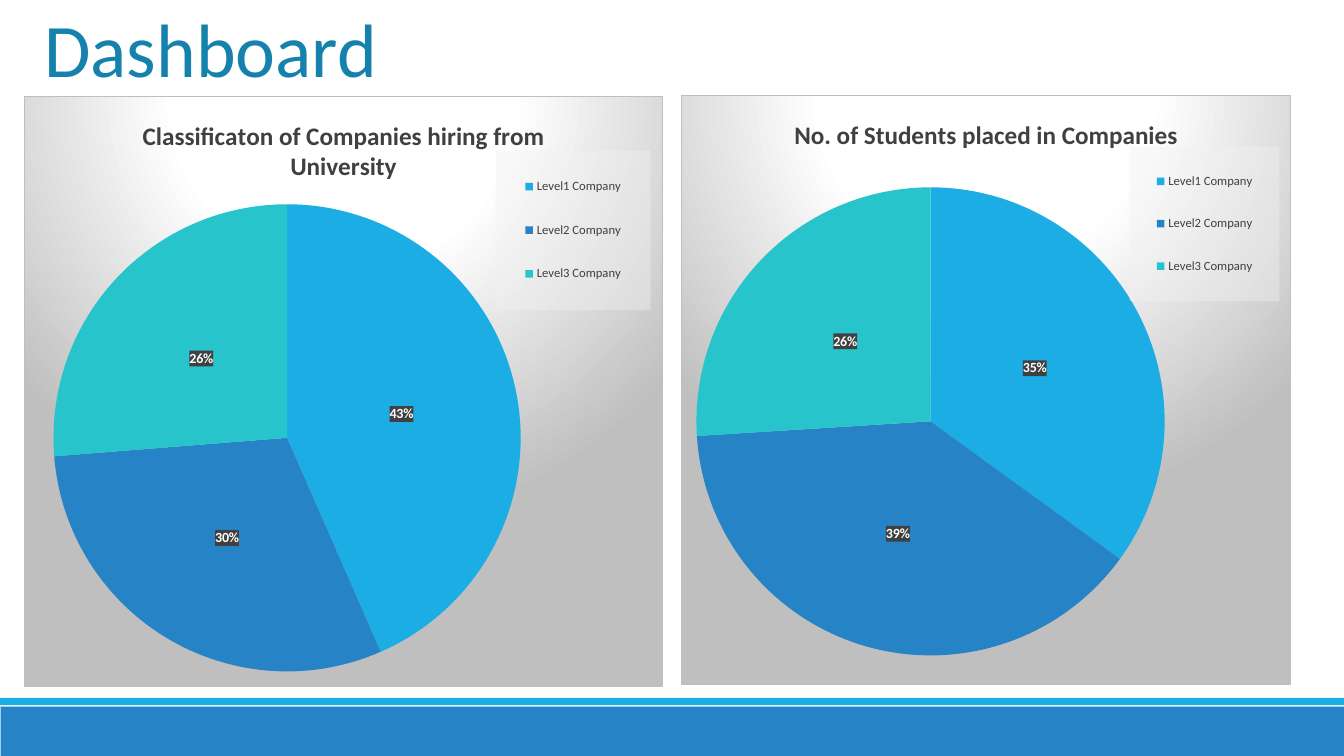
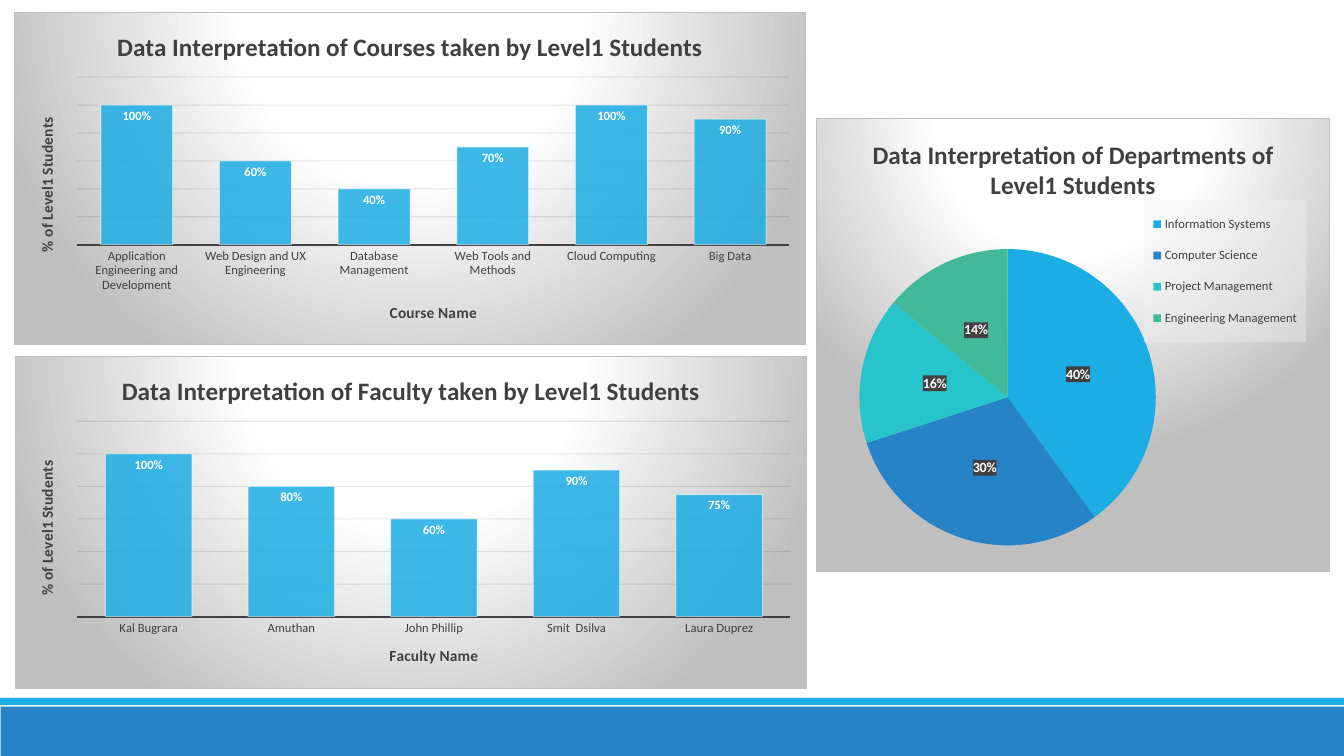
import pptx
import pptx.chart.data
import pptx.dml.color
import pptx.enum.chart
import pptx.enum.shapes
import pptx.enum.text
import pptx.oxml
import pptx.oxml.ns
import pptx.util

SCALE = 914400 / 100.8
FONT = "Calibri"
COLORS = {
    "white": "FFFFFF", "title": "1482AC", "text": "404040", "border": "BFBFBF",
    "grid": "0D0D0D", "label": "404040", "legend": "F2F2F2", "edge": "A8CDE8",
    "sky": "1CADE4", "blue": "2683C6", "teal": "28C4CC", "green": "42BA97",
}
SLICES = ["sky", "blue", "teal", "green"]
LEVELS = ["Level1 Company", "Level2 Company", "Level3 Company"]
NAMESPACES = pptx.oxml.ns.nsdecls("a", "c")


def px(length):
    return pptx.util.Emu(round(length * SCALE))


def rgb(name):
    return pptx.dml.color.RGBColor.from_string(COLORS[name])


def style_font(font, size, color, bold=False):
    font.name = FONT
    font.size = pptx.util.Pt(size)
    font.bold = bold
    font.color.rgb = rgb(color)


def solid(color, opacity=100):
    return (f'<a:solidFill><a:srgbClr val="{COLORS[color]}">'
            f'<a:alpha val="{opacity * 1000}"/></a:srgbClr></a:solidFill>')


def line(color, opacity=100):
    return f'<a:ln w="9525">{solid(color, opacity)}</a:ln>'


def backdrop():
    stops = "".join(f'<a:gs pos="{position * 1000}"><a:srgbClr val="{COLORS[name]}"/></a:gs>'
                    for position, name in [(0, "white"), (39, "white"), (100, "border")])
    return (f'<a:gradFill><a:gsLst>{stops}</a:gsLst><a:path path="circle">'
            '<a:fillToRect l="50000" t="-80000" r="50000" b="180000"/>'
            '</a:path></a:gradFill>')


def properties(content):
    return pptx.oxml.parse_xml(f"<c:spPr {NAMESPACES}>{content}</c:spPr>")


def find(element, tag):
    return element.find(".//" + pptx.oxml.ns.qn(tag))


def place(element, index, box, part, inner=False):
    old = element.find(pptx.oxml.ns.qn("c:layout"))
    if old is not None:
        element.remove(old)
    left, top, width, height = box
    target = '<c:layoutTarget val="inner"/>' if inner else ""
    fractions = [(part[0] - left) / width, (part[1] - top) / height]
    fractions += [size / whole for size, whole in zip(part[2:], box[2:])]
    modes = '<c:xMode val="edge"/><c:yMode val="edge"/>'
    values = "".join(f'<c:{key} val="{value:.4f}"/>' for key, value in zip("xywh", fractions))
    element.insert(index, pptx.oxml.parse_xml(
        f"<c:layout {NAMESPACES}><c:manualLayout>{target}{modes}{values}"
        "</c:manualLayout></c:layout>"))


def write_title(title, text, size):
    span = title.text_frame.paragraphs[0].add_run()
    span.text = text
    style_font(span.font, size, "text", True)


def add_chart(page, kind, box, plot_box, title, categories, values):
    data = pptx.chart.data.CategoryChartData()
    data.categories = categories
    data.add_series(title, values)
    chart = page.shapes.add_chart(kind, *map(px, box), data).chart
    chart.font.name = FONT
    chart.font.size = pptx.util.Pt(10)
    chart.has_title = True
    write_title(chart.chart_title, title, 18)
    space = chart.element
    space.find(pptx.oxml.ns.qn("c:chart")).addnext(properties(backdrop() + line("border")))
    place(find(space, "c:plotArea"), 0, box, plot_box, True)
    return chart


def add_labels(plot, size, position):
    plot.has_data_labels = True
    labels = plot.data_labels
    style_font(labels.font, size, "white", True)
    labels.number_format = "0%"
    labels.number_format_is_linked = False
    labels.position = position
    return labels


def pie_chart(page, box, plot_box, legend_box, title, categories, values):
    chart = add_chart(page, pptx.enum.chart.XL_CHART_TYPE.PIE,
                      box, plot_box, title, categories, values)
    plot = chart.plots[0]
    plot.vary_by_categories = True
    for index, name in enumerate(SLICES[:len(values)]):
        fill = plot.series[0].points[index].format.fill
        fill.solid()
        fill.fore_color.rgb = rgb(name)
    labels = add_labels(plot, 10, pptx.enum.chart.XL_LABEL_POSITION.CENTER)
    labels.show_percentage = True
    labels.show_value = False
    find(find(chart.element, "c:dLbls"), "c:txPr").addprevious(properties(solid("label", 90)))
    chart.has_legend = True
    legend = chart.legend
    legend.position = pptx.enum.chart.XL_LEGEND_POSITION.RIGHT
    legend.include_in_layout = False
    style_font(legend.font, 9, "text")
    element = find(chart.element, "c:legend")
    place(element, 1, box, legend_box)
    find(element, "c:txPr").addprevious(properties(solid("legend", 39)))


def column_chart(page, box, plot_box, title, axis_title, categories, values):
    chart = add_chart(page, pptx.enum.chart.XL_CHART_TYPE.COLUMN_CLUSTERED,
                      box, plot_box, title, categories, values)
    chart.has_legend = False
    plot = chart.plots[0]
    plot.gap_width = 65
    plot.vary_by_categories = False
    find(find(chart.element, "c:ser"), "c:tx").addnext(
        properties(solid("sky", 85) + line("white", 50)))
    labels = add_labels(plot, 9, pptx.enum.chart.XL_LABEL_POSITION.INSIDE_END)
    labels.show_value = True
    bottom, side = chart.category_axis, chart.value_axis
    bottom.major_tick_mark = pptx.enum.chart.XL_TICK_MARK.NONE
    style_font(bottom.tick_labels.font, 9, "text")
    bottom.format.line.color.rgb = rgb("text")
    bottom.format.line.width = pptx.util.Pt(1.5)
    write_title(bottom.axis_title, axis_title, 11)
    side.minimum_scale, side.maximum_scale, side.major_unit = 0, 1.2, 0.2
    side.has_major_gridlines = True
    find(chart.element, "c:majorGridlines").append(properties(line("grid", 10)))
    write_title(side.axis_title, "% of Level1 Students", 11)
    side.visible = False


def master_bands(deck, page):
    tree = deck.slide_master.element.cSld.spTree
    for top, height, color, edge in [(706, 50, "blue", "edge"), (698, 7, "sky", None)]:
        band = page.shapes.add_shape(pptx.enum.shapes.MSO_SHAPE.RECTANGLE,
                                     *map(px, (0, top, 1344, height)))
        band.shadow.inherit = False
        band.fill.solid()
        band.fill.fore_color.rgb = rgb(color)
        if edge:
            band.line.color.rgb = rgb(edge)
            band.line.width = pptx.util.Pt(0.5)
        else:
            band.line.fill.background()
        tree.append(band.element)


def page_title(page, box, text):
    title = page.shapes.title
    title.left, title.top, title.width, title.height = map(px, box)
    frame = title.text_frame
    frame.word_wrap = True
    frame.vertical_anchor = pptx.enum.text.MSO_ANCHOR.TOP
    para = frame.paragraphs[0]
    para.alignment = pptx.enum.text.PP_ALIGN.LEFT
    span = para.add_run()
    span.text = text
    style_font(span.font, 54, "title")


def dashboard_page(page):
    pie_chart(page, (24, 96, 639, 591), (53, 204, 468, 468), (496, 150, 155, 160),
              "Classificaton of Companies hiring from University", LEVELS, [43, 30, 26])
    pie_chart(page, (681, 95, 610, 590), (696, 187, 469, 469), (1130, 146, 150, 155),
              "No. of Students placed in Companies", LEVELS, [35, 39, 26])
    page_title(page, (34, -3, 540, 102), "Dashboard")


def interpretation_page(page):
    column_chart(page, (14, 12, 792, 333), (77, 77, 713, 168),
                 "Data Interpretation of Courses taken by Level1 Students", "Course Name",
                 ["Application Engineering and Development", "Web Design and UX Engineering",
                  "Database Management", "Web Tools and Methods", "Cloud Computing", "Big Data"],
                 [1, 0.6, 0.4, 0.7, 1, 0.9])
    pie_chart(page, (816, 118, 514, 454), (859, 249, 297, 297), (1144, 200, 163, 142),
              "Data Interpretation of Departments of Level1 Students",
              ["Information Systems", "Computer Science", "Project Management",
               "Engineering Management"], [40, 30, 16, 14])
    column_chart(page, (15, 356, 792, 333), (77, 421, 714, 196),
                 "Data Interpretation of Faculty taken by Level1 Students", "Faculty Name",
                 ["Kal Bugrara", "Amuthan", "John Phillip", "Smit  Dsilva", "Laura Duprez"],
                 [1, 0.8, 0.6, 0.9, 0.75])


deck = pptx.Presentation()
deck.slide_width, deck.slide_height = px(1344), px(756)
first = deck.slides.add_slide(deck.slide_layouts[5])
master_bands(deck, first)
dashboard_page(first)
interpretation_page(deck.slides.add_slide(deck.slide_layouts[6]))
deck.save("out.pptx")
